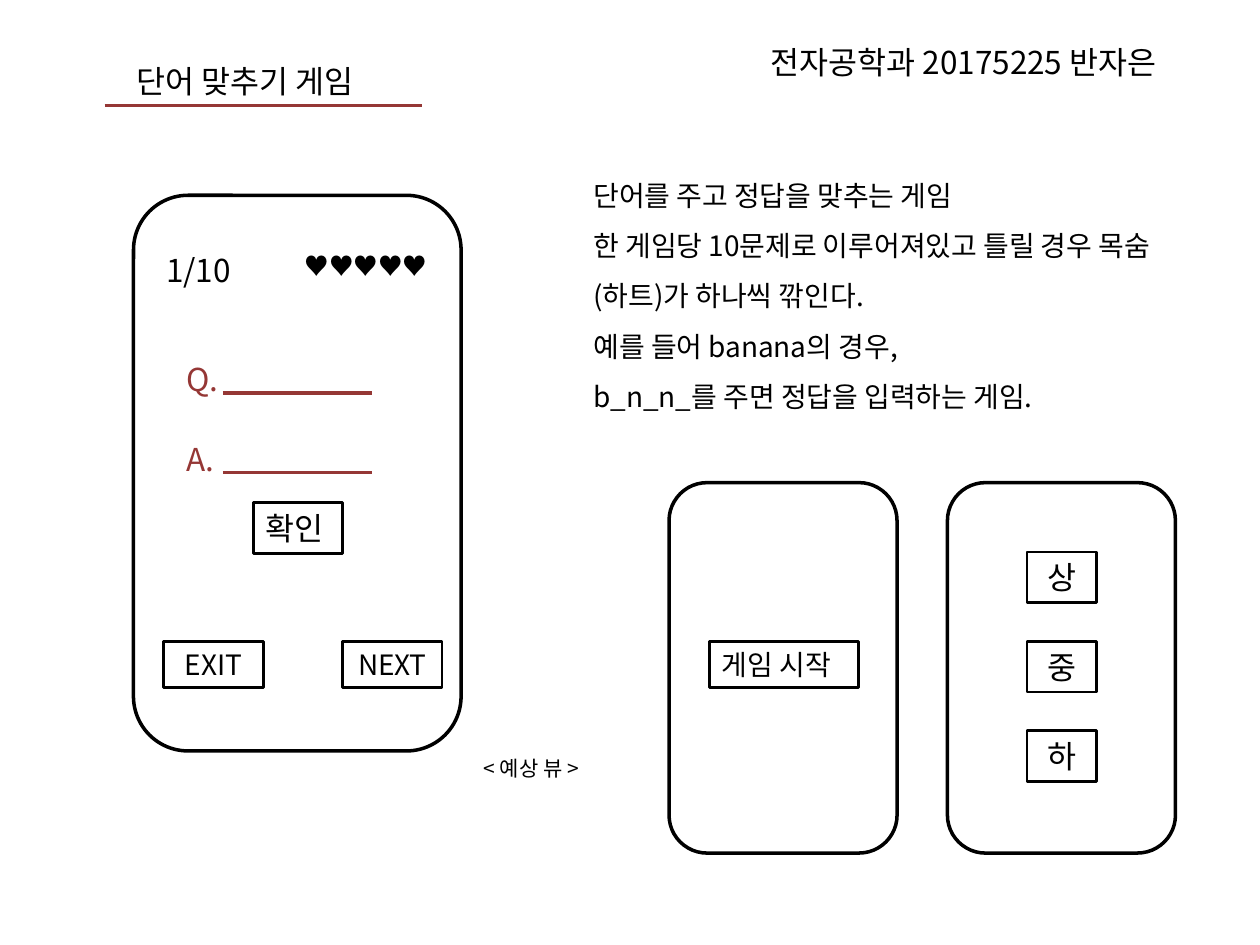
from lxml import etree
from pptx import Presentation
from pptx.dml.color import RGBColor
from pptx.enum import shapes, text
from pptx.oxml.ns import qn
from pptx.util import Pt

COLORS = {"ink": "000000", "paper": "FFFFFF", "accent": "953735"}
FONT = "Noto Sans CJK KR"
LEFT, CENTER = text.PP_ALIGN.LEFT, text.PP_ALIGN.CENTER


def write(shape, box, lines, size, color="ink", align=LEFT, spacing=1.0):
    """Place a shape and fill it with evenly formatted paragraphs."""
    shape.left, shape.top, shape.width, shape.height = map(Pt, box)
    frame = shape.text_frame
    frame.text = "\n".join(lines)
    frame_format = {
        "word_wrap": True,
        "vertical_anchor": text.MSO_ANCHOR.TOP,
        "auto_size": text.MSO_AUTO_SIZE.SHAPE_TO_FIT_TEXT,
    }
    for name, value in frame_format.items():
        setattr(frame, name, value)
    paragraph_format = {"alignment": align, "line_spacing": spacing,
                        "space_before": Pt(0), "space_after": Pt(0)}
    for paragraph in frame.paragraphs:
        for name, value in paragraph_format.items():
            setattr(paragraph, name, value)
        font = paragraph.runs[0].font
        font.size, font.name = Pt(size), FONT
        font.color.rgb = RGBColor.from_string(COLORS[color])
        properties = paragraph.runs[0]._r.get_or_add_rPr()
        etree.SubElement(properties, qn("a:ea"), typeface=FONT)


def add_outline(kind, box, width):
    shape = slide.shapes.add_shape(kind, *map(Pt, box))
    shape.shadow.inherit = False
    shape.line.color.rgb = RGBColor.from_string(COLORS["ink"])
    shape.line.width = Pt(width)
    return shape


presentation = Presentation()
presentation.slide_width, presentation.slide_height = Pt(720), Pt(540)
slide = presentation.slides.add_slide(presentation.slide_layouts[1])

# Title and description
title, description = slide.placeholders
write(title, (70.6, 31.7, 198.7, 29), ["단어 맞추기 게임"], 18)
write(description, (331.9, 88.6, 351.4, 152.6), [
    "단어를 주고 정답을 맞추는 게임",
    "한 게임당 10문제로 이루어져있고 틀릴 경우 목숨(하트)가 하나씩 깎인다.",
    "예를 들어 banana의 경우,",
    "b_n_n_를 주면 정답을 입력하는 게임.",
], 16, spacing=1.5)
for paragraph in description.text_frame.paragraphs:
    properties = paragraph._p.get_or_add_pPr()
    properties.set("marL", "0")
    properties.set("indent", "0")
    etree.SubElement(properties, qn("a:buNone"))

# Phone screens
for phone in [(76.3, 111.6, 187.2, 317.5), (382.3, 275.8, 130.3, 211.7),
              (541.4, 275.8, 130.3, 211.7)]:
    shape = add_outline(shapes.MSO_SHAPE.ROUNDED_RECTANGLE, phone, 2)
    shape.fill.solid()
    shape.fill.fore_color.rgb = RGBColor.from_string(COLORS["paper"])

# Buttons
buttons = [
    ("확인", (144.7, 287.3, 51.1, 29), 18, LEFT),
    ("EXIT", (93.6, 366.5, 56.9, 26.6), 16, CENTER),
    ("NEXT", (195.8, 366.5, 56.9, 26.6), 16, CENTER),
    ("게임 시작", (405.4, 366.5, 85, 26.6), 16, LEFT),
]
for row, level in enumerate("상중하"):
    buttons.append((level, (586.8, 315.4 + 51.1 * row, 39.8, 29), 18, CENTER))
for label, box, size, align in buttons:
    button = add_outline(shapes.MSO_SHAPE.RECTANGLE, box, 1.5)
    button.fill.background()
    write(button, box, [label], size, align=align)

# Labels
labels = [
    ("전자공학과 20175225 반자은", (433.4, 20.9, 254.9, 29), 18, "ink"),
    ("1/10", (87.8, 139.7, 56.9, 29), 18, "ink"),
    ("♥♥♥♥♥", (167, 139.7, 90.7, 46), 14, "ink"),
    ("Q.", (99.4, 202.3, 33.8, 29), 18, "accent"),
    ("A.", (99.4, 247.7, 33.8, 29), 18, "accent"),
    ("< 예상 뷰 >", (269.3, 428.4, 90.7, 21.6), 12, "ink"),
]
for label, box, size, color in labels:
    write(slide.shapes.add_textbox(*map(Pt, box)), box, [label], size, color)

# Title underline, question blank and answer blank
for start, end, y in [(59.8, 241.2, 60.5), (127.4, 212.4, 224.6), (127.4, 212.4, 270)]:
    line = slide.shapes.add_connector(
        shapes.MSO_CONNECTOR.STRAIGHT, Pt(start), Pt(y), Pt(end), Pt(y))
    line.line.color.rgb = RGBColor.from_string(COLORS["accent"])
    line.line.width = Pt(1.75)
    etree.SubElement(line._element.spPr, qn("a:effectLst"))

presentation.save("out.pptx")
